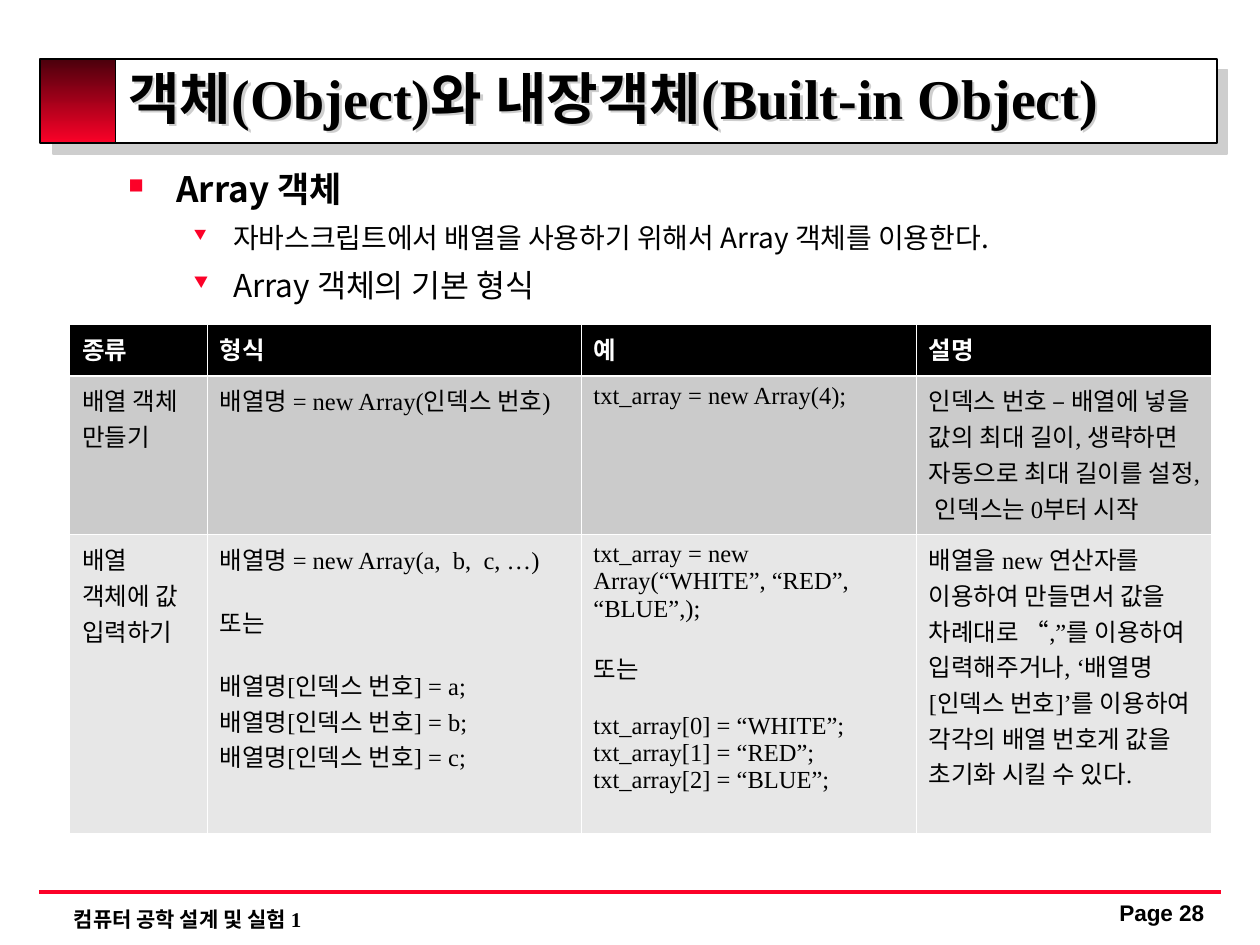
from lxml.etree import SubElement
from pptx import Presentation
from pptx.dml.color import RGBColor
from pptx.enum.shapes import MSO_CONNECTOR, MSO_SHAPE
from pptx.enum.text import MSO_ANCHOR, PP_ALIGN
from pptx.oxml import parse_xml
from pptx.oxml.ns import nsdecls, qn
from pptx.util import Cm, Pt

HEADER = ["종류", "형식", "예", "설명"]
ROWS = [
    ["배열 객체 만들기", "배열명 = new Array(인덱스 번호)", "txt_array = new Array(4);",
     "인덱스 번호 – 배열에 넣을 값의 최대 길이, 생략하면 자동으로 최대 길이를 설정, 인덱스는 0부터 시작"],
    ["배열 객체에 값 입력하기",
     "배열명 = new Array(a,  b,  c, …)\n\n또는\n\n"
     + "\n".join(f"배열명[인덱스 번호] = {name};" for name in "abc"),
     "txt_array = new Array(“WHITE”, “RED”, “BLUE”,);\n\n또는\n\n"
     + "\n".join(f"txt_array[{index}] = “{name}”;"
                 for index, name in enumerate(["WHITE", "RED", "BLUE"])),
     "배열을 new 연산자를 이용하여 만들면서 값을 차례대로 “,”를 이용하여 입력해주거나, "
     "‘배열명[인덱스 번호]’를 이용하여 각각의 배열 번호게 값을 초기화 시킬 수 있다."],
]
BULLETS = [
    ("■", "Array 객체", 20, True, 0.97, 0.97, 0, 60),
    ("▼", "자바스크립트에서 배열을 사용하기 위해서 Array 객체를 이용한다.", 16, False, 2.11, 0.79, 6.5, 50),
    ("▼", "Array 객체의 기본 형식", 18, False, 2.11, 0.79, 6.8, 50),
]


def color(value):
    return RGBColor.from_string(value)


def shadow(value, distance):
    return parse_xml(
        f'<a:effectLst {nsdecls("a")}><a:outerShdw blurRad="0" dist="{Pt(distance)}" '
        f'dir="2700000" algn="tl" rotWithShape="0"><a:srgbClr val="{value}"/>'
        '</a:outerShdw></a:effectLst>')


class SlideBuilder:
    serif = "Times New Roman"
    korean = "Noto Sans CJK KR"
    sans = "Arial"
    black = "000000"
    white = "FFFFFF"
    red = "FC0128"
    dark_red = "4B000C"
    gray = "CECECE"

    def __init__(self, slide):
        self.slide = slide

    def format(self, paragraph, size, font, bold=False, fill=black):
        for run in paragraph.runs:
            run.font.size = Pt(size)
            run.font.bold = bold
            run.font.color.rgb = color(fill)
            run.font.name = font
            properties = run.font._element
            properties.set("kern", "0")
            SubElement(properties, qn("a:ea")).set("typeface", self.korean)

    def bar(self, left, top, width, height):
        shape = self.slide.shapes.add_shape(
            MSO_SHAPE.RECTANGLE, Cm(left), Cm(top), Cm(width), Cm(height))
        shape.shadow.inherit = False
        shape.fill.solid()
        shape.fill.fore_color.rgb = color(self.white)
        shape.line.color.rgb = color(self.black)
        shape.line.width = Pt(1)
        return shape

    def shadow_bar(self, *place):
        properties = self.bar(*place)._element.spPr
        properties.replace(properties.find(qn("a:effectLst")), shadow(self.gray, 8.5))

    def gradient_bar(self, *place):
        fill = self.bar(*place).fill
        fill.gradient()
        fill.gradient_angle = 270
        for stop, value in zip(fill.gradient_stops, (self.dark_red, self.red)):
            stop.color.rgb = color(value)

    def rule(self, left, right, top):
        line = self.slide.shapes.add_connector(
            MSO_CONNECTOR.STRAIGHT, Cm(left), Cm(top), Cm(right), Cm(top))
        line.line.color.rgb = color(self.red)
        line.line.width = Pt(2.25)
        SubElement(line._element.spPr, qn("a:effectLst"))

    def frame(self, left, top, width, height):
        shape = self.slide.shapes.add_textbox(Cm(left), Cm(top), Cm(width), Cm(height))
        shape.text_frame.word_wrap = True
        return shape

    def text(self, place, words, size, font, spacing=1.0, align=PP_ALIGN.LEFT):
        shape = self.frame(*place)
        shape.text_frame.text = words
        paragraph = shape.text_frame.paragraphs[0]
        paragraph.alignment = align
        paragraph.line_spacing = spacing
        self.format(paragraph, size, font, True)
        return shape

    def title(self, place, words):
        shape = self.text(place, words, 32, self.serif, 0.8)
        shape.text_frame.vertical_anchor = MSO_ANCHOR.MIDDLE
        shape._element.spPr.append(shadow(self.gray, 2))

    def bullets(self, place, items):
        text_frame = self.frame(*place).text_frame
        text_frame.text = "\n".join(item[1] for item in items)
        for paragraph, item in zip(text_frame.paragraphs, items):
            mark, _, size, bold, margin, hanging, before, mark_size = item
            properties = paragraph._p.get_or_add_pPr()
            properties.set("marL", str(Cm(margin)))
            properties.set("indent", str(-Cm(hanging)))
            mark_color = SubElement(properties, qn("a:buClr"))
            SubElement(mark_color, qn("a:srgbClr")).set("val", self.red)
            SubElement(properties, qn("a:buSzPct")).set("val", str(mark_size * 1000))
            SubElement(properties, qn("a:buChar")).set("char", mark)
            paragraph.space_before = Pt(before)
            self.format(paragraph, size, self.korean, bold)

    def cell(self, cell, words, fill, text_fill, bold, top, bottom):
        blocks = [block.split("\n") for block in words.split("\n\n")]
        cell.text_frame.text = "\n".join(line for block in blocks for line in block)
        paragraphs = iter(cell.text_frame.paragraphs)
        for number, block in enumerate(blocks):
            for position, _ in enumerate(block):
                paragraph = next(paragraphs)
                if number and position == 0:
                    paragraph.space_before = Pt(15.5)
                self.format(paragraph, 14, self.serif, bold, text_fill)
        properties = cell._tc.get_or_add_tcPr()
        for side, width in zip("LRTB", (0.45, 0.45, top, bottom)):
            border = SubElement(properties, qn(f"a:ln{side}"), w=str(Pt(width)))
            border_fill = SubElement(border, qn("a:solidFill"))
            SubElement(border_fill, qn("a:srgbClr")).set("val", self.white)
        cell.fill.solid()
        cell.fill.fore_color.rgb = color(fill)

    def table(self, left, top, widths, heights, rows):
        table = self.slide.shapes.add_table(
            len(rows), len(widths), Cm(left), Cm(top), Cm(sum(widths)), Cm(sum(heights))).table
        for column, width in zip(table.columns, widths):
            column.width = Cm(width)
        styles = [(self.black, self.white, True, 0.45, 1.47),
                  ("CBCBCB", self.black, False, 1.47, 0.45),
                  ("E7E7E7", self.black, False, 0.45, 0.45)]
        for row, height, texts, style in zip(table.rows, heights, rows, styles):
            row.height = Cm(height)
            for cell, words in zip(row.cells, texts):
                self.cell(cell, words, *style)


def main():
    presentation = Presentation()
    presentation.slide_width = Cm(25.4)
    presentation.slide_height = Cm(19.05)
    builder = SlideBuilder(presentation.slides.add_slide(presentation.slide_layouts[6]))
    builder.shadow_bar(0.86, 1.19, 23.67, 1.7)
    builder.gradient_bar(0.81, 1.19, 1.52, 1.7)
    builder.text((1.24, 18.16, 16.97, 0.76), "컴퓨터 공학 설계 및 실험 1", 12, builder.serif)
    builder.rule(0.79, 24.61, 17.98)
    builder.title((2.34, 1.12, 22.28, 1.91), "객체(Object)와 내장객체(Built-in Object)")
    builder.bullets((2.34, 3.25, 22.28, 13.49), BULLETS)
    builder.table(1.4, 6.54, [2.77, 7.54, 6.76, 5.94], [1.04, 3.2, 6.02], [HEADER, *ROWS])
    builder.text((22.05, 18.06, 2.74, 0.84), "Page 28", 12.9, builder.sans, 0.9, PP_ALIGN.CENTER)
    presentation.save("out.pptx")


if __name__ == "__main__":
    main()
